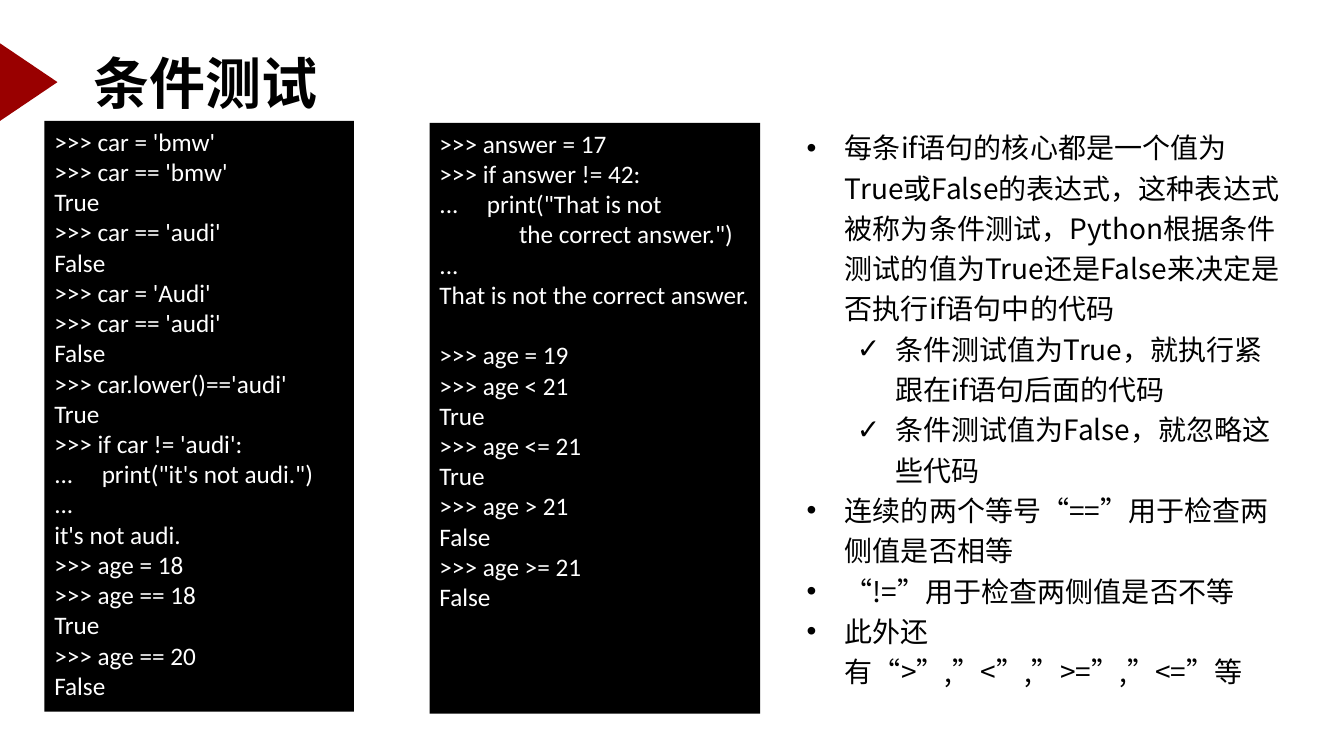
from pptx import Presentation
from pptx.dml.color import RGBColor
from pptx.enum.shapes import MSO_SHAPE
from pptx.enum.text import MSO_ANCHOR, PP_ALIGN
from pptx.oxml.ns import qn
from pptx.util import Inches, Pt
from lxml.etree import SubElement


def color(value):
    return RGBColor.from_string(value)


def style(paragraph, size, name, value):
    paragraph.alignment = PP_ALIGN.LEFT
    font = paragraph.font
    font.size = Pt(size)
    font.name = name
    font.color.rgb = color(value)
    defaults = paragraph._p.pPr.find(qn("a:defRPr"))
    SubElement(defaults, qn("a:ea")).set("typeface", name)


presentation = Presentation()
presentation.slide_width = Inches(13.33)
presentation.slide_height = Inches(7.5)
slide = presentation.slides.add_slide(presentation.slide_layouts[6])

# Title with its red marker
marker = slide.shapes.add_shape(
    MSO_SHAPE.ISOSCELES_TRIANGLE, Inches(-0.1), Inches(0.53), Inches(0.77), Inches(0.57))
marker.rotation = 90
marker.shadow.inherit = False
marker.fill.solid()
marker.fill.fore_color.rgb = color("990000")
marker.line.fill.background()

title = slide.shapes.add_textbox(Inches(0.83), Inches(0.43), Inches(2.65), Inches(0.77))
title.text_frame.word_wrap = False
paragraph = title.text_frame.paragraphs[0]
paragraph.text = "条件测试"
style(paragraph, 40, "Noto Sans CJK JP", "000000")
paragraph.font.bold = True

# Two console panels: left, top, width, blocks of code
string_session = """>>> car = 'bmw'
>>> car == 'bmw'
True
>>> car == 'audi'
False
>>> car = 'Audi'
>>> car == 'audi'
False
>>> car.lower()=='audi'
True
>>> if car != 'audi':
...     print("it's not audi.")
...
it's not audi.
>>> age = 18
>>> age == 18
True
>>> age == 20
False"""
answer_session = """>>> answer = 17
>>> if answer != 42:
...     print("That is not
              the correct answer.")
...
That is not the correct answer."""
age_session = """>>> age = 19
>>> age < 21
True
>>> age <= 21
True
>>> age > 21
False
>>> age >= 21
False"""
consoles = [
    (0.44, 1.2, 3.07, [string_session]),
    (4.26, 1.22, 3.28, [answer_session, age_session]),
]
for left, top, width, sessions in consoles:
    console = slide.shapes.add_shape(
        MSO_SHAPE.RECTANGLE, Inches(left), Inches(top), Inches(width), Inches(5.86))
    console.shadow.inherit = False
    console.fill.solid()
    console.fill.fore_color.rgb = color("000000")
    console.line.fill.background()
    frame = console.text_frame
    frame.word_wrap = True
    frame.vertical_anchor = MSO_ANCHOR.TOP
    paragraph = frame.paragraphs[0]
    for session_index, session in enumerate(sessions):
        for line_index, line in enumerate(session.split("\n")):
            if session_index or line_index:
                paragraph = frame.add_paragraph()
            paragraph.text = line
            if session_index and line_index == 0:
                paragraph.space_before = Pt(21.6)
            style(paragraph, 18, "Calibri", "FFFFFF")

# Explanation: level and wording
points = [
    (0, "每条if语句的核心都是一个值为True或False的表达式，这种表达式被称为条件测试，"
        "Python根据条件测试的值为True还是False来决定是否执行if语句中的代码"),
    (1, "条件测试值为True，就执行紧跟在if语句后面的代码"),
    (1, "条件测试值为False，就忽略这些代码"),
    (0, "连续的两个等号“==”用于检查两侧值是否相等"),
    (0, "“!=”用于检查两侧值是否不等"),
    (0, "此外还有“>”,”<”,”>=”,”<=”等"),
]
explanation = slide.shapes.add_textbox(Inches(7.93), Inches(1.2), Inches(4.87), Inches(5.72))
frame = explanation.text_frame
frame.word_wrap = True
frame.margin_left = frame.margin_right = Inches(0.07)
frame.margin_top = frame.margin_bottom = Inches(0.03)
for index, (level, wording) in enumerate(points):
    paragraph = frame.add_paragraph() if index else frame.paragraphs[0]
    paragraph.text = wording
    paragraph.level = level
    paragraph.line_spacing = 1.2
    properties = paragraph._p.get_or_add_pPr()
    properties.set("marL", str(Inches(0.38 + 0.5 * level)))
    properties.set("indent", str(Inches(-0.38)))
    SubElement(properties, qn("a:buFont")).set("typeface", "Arial")
    SubElement(properties, qn("a:buChar")).set("char", "•✓"[level])
    style(paragraph, 20, "Noto Sans CJK SC", "000000")

presentation.save("out.pptx")
